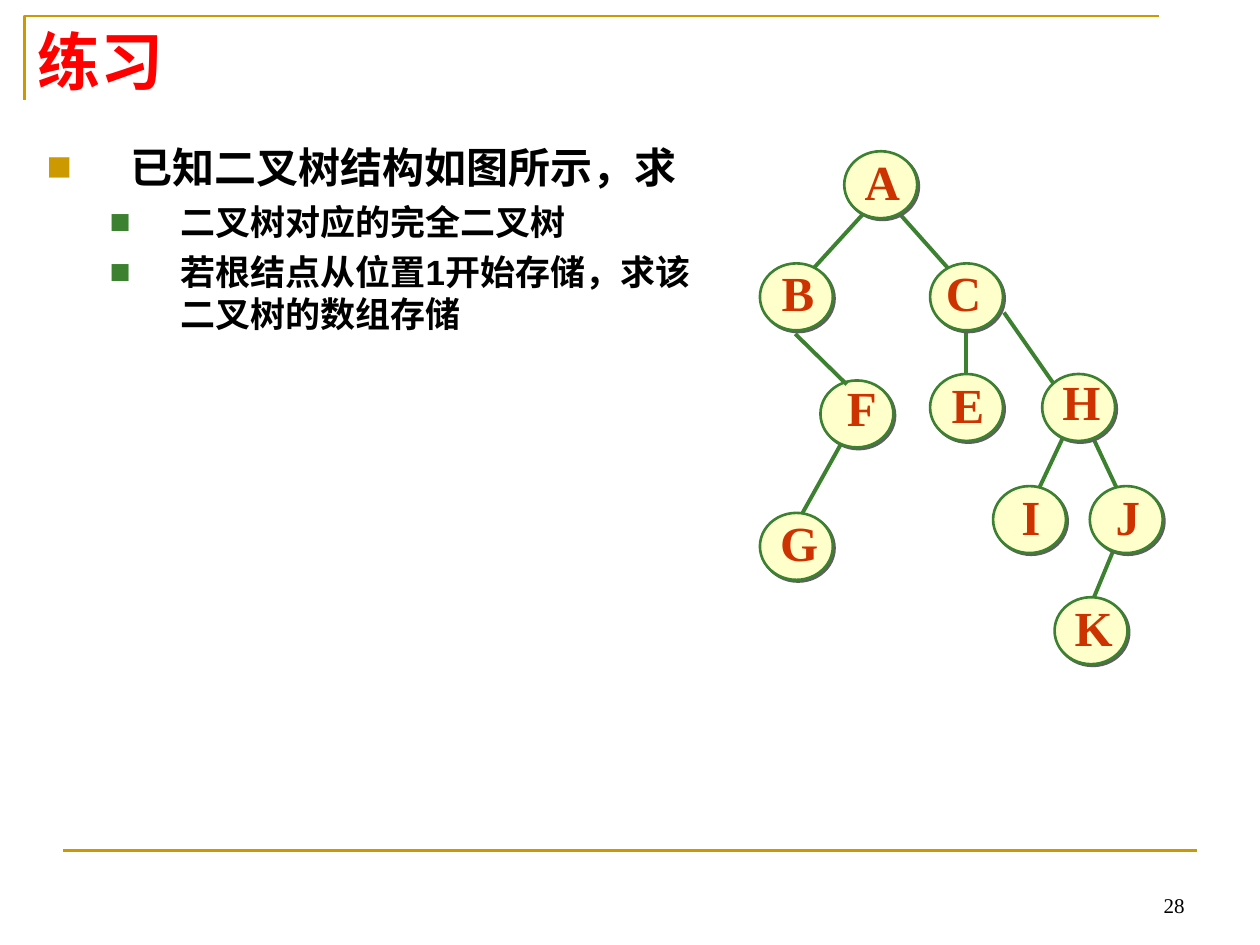
import pptx
import pptx.dml.color
import pptx.enum.shapes
import pptx.enum.text
import pptx.oxml
import pptx.oxml.ns
import pptx.util
from dataclasses import dataclass
from typing import Any

Cm = pptx.util.Cm
Pt = pptx.util.Pt
ALIGN = pptx.enum.text.PP_ALIGN
ANCHOR = pptx.enum.text.MSO_ANCHOR
GOLD, GREEN, CREAM, BLACK = "CC9900", "3B812F", "FFFFCC", "000000"
NODE_WIDTH, NODE_HEIGHT = 1.47, 1.35
LABEL_WIDTH, LABEL_HEIGHT = 1.22, 1.45


@dataclass
class Node:
    name: str
    left: float
    top: float
    shift_x: float = 0.03
    shift_y: float = -0.08


@dataclass
class Edge:
    x1: float
    y1: float
    x2: float
    y2: float


@dataclass
class Item:
    text: str
    size: int
    bullet: str
    margin: float
    indent: float
    before: int


NODES = [
    Node("B", 15.32, 5.31, shift_y=-0.1),
    Node("C", 18.75, 5.31, shift_x=-0.06, shift_y=-0.1),
    Node("E", 18.75, 7.54),
    Node("A", 17.02, 3.05),
    Node("G", 15.32, 10.34),
    Node("F", 16.54, 7.67, shift_x=0.1, shift_y=-0.15),
    Node("I", 20.02, 9.8),
    Node("J", 21.97, 9.8),
    Node("K", 21.26, 12.04),
    Node("H", 21.01, 7.54, shift_y=-0.13),
]
EDGES_BEHIND = [
    Edge(18.01, 4.17, 19.23, 5.54),
    Edge(17.53, 4.17, 16.28, 5.54),
    Edge(19.48, 6.43, 19.48, 7.77),
    Edge(17.07, 8.74, 16.05, 10.57),
    Edge(21.97, 8.69, 22.71, 10.26),
    Edge(21.49, 8.69, 20.75, 10.26),
    Edge(22.43, 11.13, 22.02, 12.12),
]
EDGES_IN_FRONT = [
    Edge(16.03, 6.73, 17.07, 7.75),
    Edge(20.24, 6.3, 21.23, 7.72),
]
ITEMS = [
    Item("已知二叉树结构如图所示，求", 24, GOLD, 1.7, -1.7, 0),
    Item("二叉树对应的完全二叉树", 20, GREEN, 2.69, -1.42, 5),
    Item("若根结点从位置1开始存储，求该二叉树的数组存储", 20, GREEN, 2.69, -1.42, 5),
]


def color(value: str) -> Any:
    return pptx.dml.color.RGBColor.from_string(value)


def element(tag: str, **attributes: Any) -> Any:
    item = pptx.oxml.parse_xml(f"<{tag} {pptx.oxml.ns.nsdecls('a')}/>")
    for key, value in attributes.items():
        item.set(key, str(value))
    return item


def apply(target: Any, values: dict) -> None:
    for key, value in values.items():
        setattr(target, key, value)


def style_line(shape: Any, value: str, width: float) -> None:
    shape.line.color.rgb = color(value)
    shape.line.width = Pt(width)


def add_line(page: Any, edge: Edge, value: str = GREEN, width: float = 2.25) -> None:
    line = page.shapes.add_connector(
        pptx.enum.shapes.MSO_CONNECTOR.STRAIGHT,
        Cm(edge.x1), Cm(edge.y1), Cm(edge.x2), Cm(edge.y2))
    style_line(line, value, width)
    line._element.spPr.append(element("a:effectLst"))


def add_box(page: Any, left: float, top: float, width: float, height: float, **frame: Any) -> Any:
    box = page.shapes.add_textbox(Cm(left), Cm(top), Cm(width), Cm(height))
    apply(box.text_frame, {"word_wrap": True, **frame})
    return box.text_frame


def write(para: Any, text: str, font: str, size: int, value: str, bold: bool = True) -> None:
    span = para.add_run()
    span.text = text
    apply(span.font, {"name": font, "size": Pt(size), "bold": bold})
    span.font.color.rgb = color(value)


def add_node(page: Any, node: Node) -> None:
    oval = page.shapes.add_shape(
        pptx.enum.shapes.MSO_SHAPE.OVAL,
        Cm(node.left), Cm(node.top), Cm(NODE_WIDTH), Cm(NODE_HEIGHT))
    oval.fill.solid()
    oval.fill.fore_color.rgb = color(CREAM)
    style_line(oval, GREEN, 1.5)
    oval.shadow.inherit = False
    shadow = element("a:outerShdw", blurRad=0, dist=Pt(1.4), dir=45 * 60000, algn="ctr", rotWithShape=0)
    shadow.append(element("a:srgbClr", val="5F5F5F"))
    oval._element.spPr.find(pptx.oxml.ns.qn("a:effectLst")).append(shadow)


def add_label(page: Any, node: Node) -> None:
    left = node.left + node.shift_x + (NODE_WIDTH - LABEL_WIDTH) / 2
    top = node.top + node.shift_y + (NODE_HEIGHT - LABEL_HEIGHT) / 2
    frame = add_box(page, left, top, LABEL_WIDTH, LABEL_HEIGHT,
                    word_wrap=False, vertical_anchor=ANCHOR.MIDDLE)
    para = frame.paragraphs[0]
    para.alignment = ALIGN.CENTER
    write(para, node.name, "Times New Roman", 28, "CC3300")


def add_item(para: Any, item: Item) -> None:
    properties = para._p.get_or_add_pPr()
    properties.set("marL", str(Cm(item.margin)))
    properties.set("indent", str(Cm(item.indent)))
    bullet_color = element("a:buClr")
    bullet_color.append(element("a:srgbClr", val=item.bullet))
    properties.extend([bullet_color, element("a:buFont", typeface="Arial"),
                       element("a:buChar", char="■")])
    para.space_before = Pt(item.before)
    write(para, item.text, "Arial", item.size, BLACK)


def add_frame(page: Any) -> None:
    builder = page.shapes.build_freeform(Cm(0.5), Cm(2.02))
    builder.add_line_segments([(Cm(0.5), Cm(0.32)), (Cm(23.36), Cm(0.32))], close=False)
    corner = builder.convert_to_shape()
    corner.fill.background()
    corner.shadow.inherit = False
    style_line(corner, GOLD, 1.5)
    add_line(page, Edge(1.27, 17.15, 24.13, 17.15), GOLD, 1.5)


def main() -> None:
    """Build the binary tree exercise slide and save it."""
    deck = pptx.Presentation()
    apply(deck, {"slide_width": Cm(25.4), "slide_height": Cm(19.05)})
    page = deck.slides.add_slide(deck.slide_layouts[6])
    add_frame(page)

    number = add_box(page, 18.21, 17.35, 5.92, 1.27, vertical_anchor=ANCHOR.BOTTOM).paragraphs[0]
    number.alignment = ALIGN.RIGHT
    write(number, "28", "Times New Roman", 12, BLACK, bold=False)

    body = add_box(page, 0.69, 2.72, 13.59, 13.0)
    for index, item in enumerate(ITEMS):
        add_item(body.add_paragraph() if index else body.paragraphs[0], item)

    title = add_box(page, 0.5, 0.32, 22.86, 1.8)
    write(title.paragraphs[0], "练习", "Times New Roman", 36, "FF0000")

    for edge in EDGES_BEHIND:
        add_line(page, edge)
    for node in NODES:
        add_node(page, node)
        add_label(page, node)
    for edge in EDGES_IN_FRONT:
        add_line(page, edge)
    deck.save("out.pptx")


if __name__ == "__main__":
    main()
